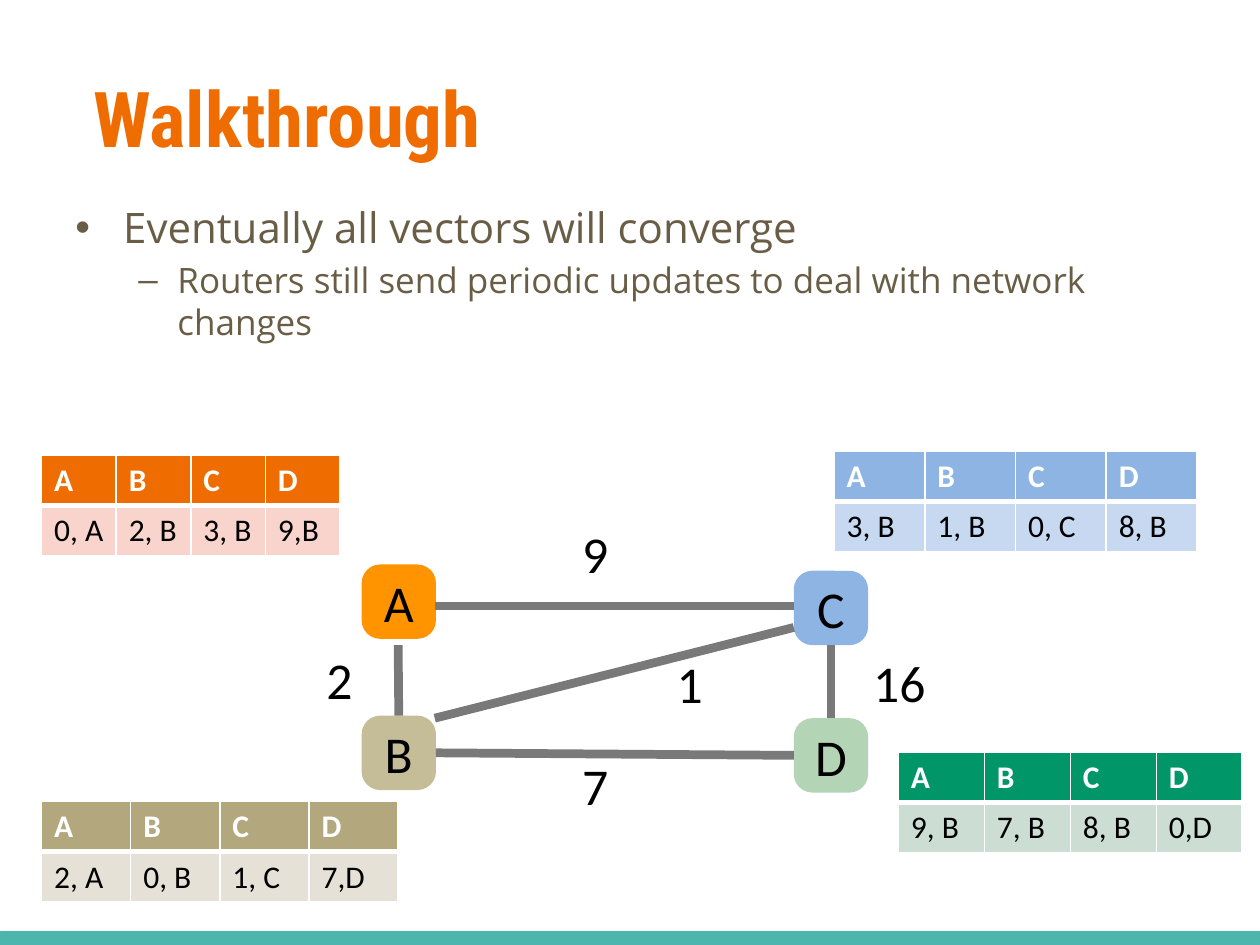
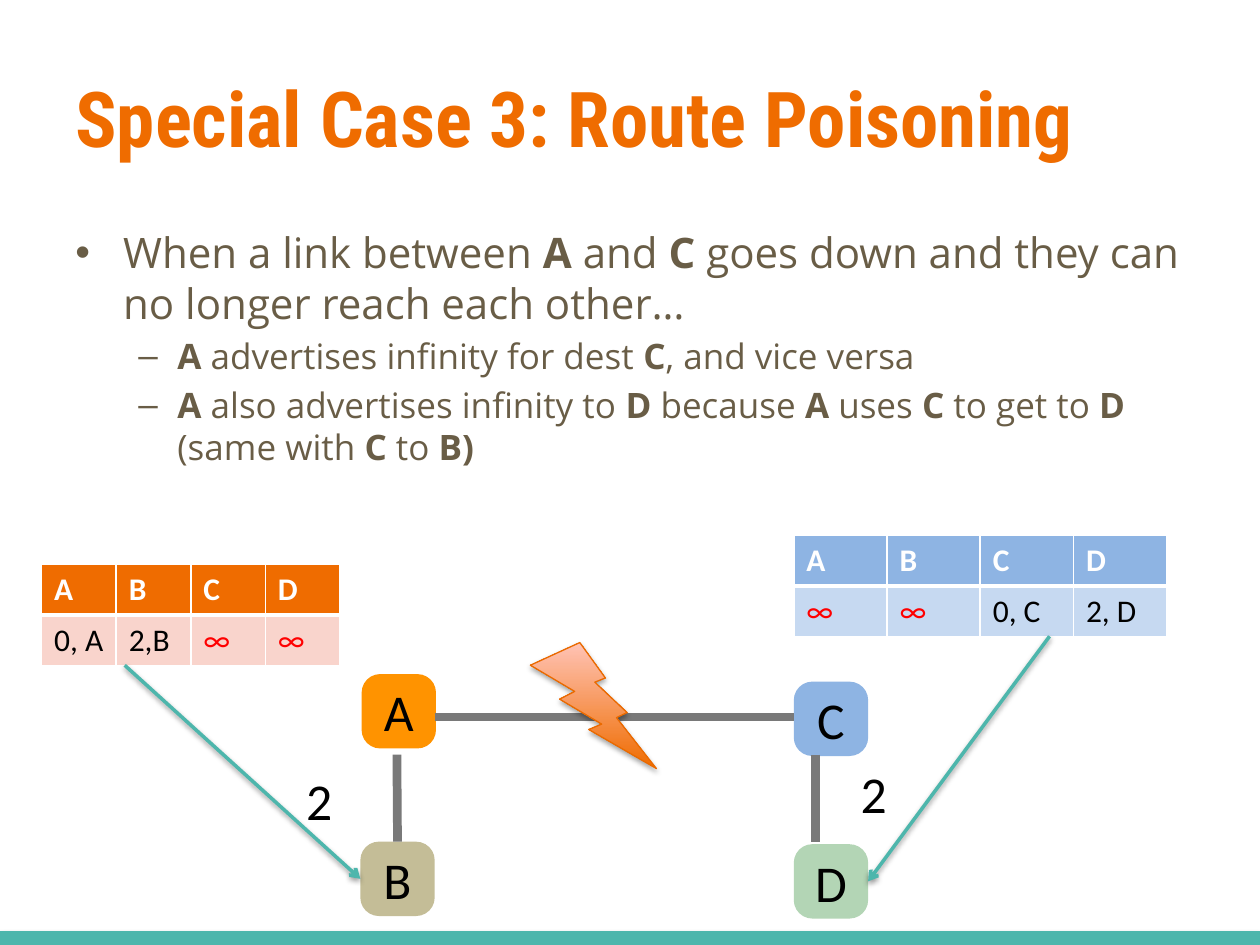
from pptx import Presentation
from pptx.dml.color import RGBColor as RGB
from pptx.enum.shapes import MSO_CONNECTOR as CONN, MSO_SHAPE as SHAPE
from pptx.enum.text import MSO_ANCHOR as ANCHOR, PP_ALIGN as ALIGN
from pptx.oxml import parse_xml
from pptx.oxml.ns import nsdecls
from pptx.util import Inches, Pt

C = {
    "title": "EF6C00", "body": "695D46", "accent": "4DB6AC", "link": "797979",
    "white": "FFFFFF", "black": "000000", "poison": "FF0000",
    "bolt_end": "FFC3B5", "bolt_line": "EA6A00",
}
NODE_FILL = {"A": "FF9300", "B": "C4BD97", "C": "8EB4E3", "D": "B3D5B5"}
TABLE_FILL = {
    "A": ("EF6C00", "F9D4CC"), "B": ("B3A77D", "E5E1D7"),
    "C": ("8EB4E3", "C6D9F1"), "D": ("009668", "CCDDD4"),
}
NODE = 0.59
TOP, LEFT, BOTTOM, RIGHT = range(4)
BULLETS = [("•", 24, 0.38, -0.38), ("–", 20, 0.81, -0.31)]


def rgb(name):
    """Return the colour for a palette name."""
    return RGB.from_string(C[name])


def style(font, name, size, color, bold=False):
    """Set the face, size, colour and weight of a font."""
    font.name, font.size, font.bold = name, Pt(size), bold
    font.color.rgb = rgb(color)


def add_effects(sp, alpha=0, dist=1.6):
    """Give a shape a soft drop shadow, or none when alpha is 0."""
    shadow = (
        f'<a:outerShdw blurRad="{Pt(3.1)}" dist="{Pt(dist)}" dir="5400000" rotWithShape="0">'
        f'<a:srgbClr val="{C["black"]}"><a:alpha val="{alpha * 1000}"/></a:srgbClr>'
        "</a:outerShdw>"
    ) if alpha else ""
    sp._element.spPr.append(
        parse_xml(f'<a:effectLst {nsdecls("a")}>{shadow}</a:effectLst>'))


def add_line(slide, start, end, color, width, alpha=0, arrow=False):
    """Draw a straight line between two points in inches."""
    line = slide.shapes.add_connector(
        CONN.STRAIGHT, *(Inches(v) for v in (*start, *end)))
    line.line.color.rgb = rgb(color)
    line.line.width = Pt(width)
    if arrow:
        line.line._get_or_add_ln().append(
            parse_xml(f'<a:tailEnd {nsdecls("a")} type="arrow"/>'))
    add_effects(line, alpha)
    return line


def add_box(slide, left, top, width, height):
    """Add a wrapping text box and return its text frame."""
    tf = slide.shapes.add_textbox(
        Inches(left), Inches(top), Inches(width), Inches(height)).text_frame
    tf.word_wrap = True
    return tf


def add_base(prs, title, inset=0.1):
    """Start a slide with its title and footer line."""
    slide = prs.slides.add_slide(prs.slide_layouts[6])
    add_line(slide, (0, 7.46), (10, 7.46), "accent", 10, alpha=38)
    tf = add_box(slide, 0.5, 0.3, 9, 1.25)
    tf.vertical_anchor = ANCHOR.MIDDLE
    tf.margin_left = Inches(inset)
    tf.text = title
    style(tf.paragraphs[0].runs[0].font, "Roboto Condensed", 44, "title", True)
    return slide


def add_bullets(slide, top, items):
    """Write levelled bullets, with bold parts set between asterisks."""
    tf = add_box(slide, 0.5, top, 9, 4.95)
    for i, (level, text) in enumerate(items):
        char, size, margin, indent = BULLETS[level]
        p = tf.add_paragraph() if i else tf.paragraphs[0]
        p.level = level
        if i:
            p.space_before = Pt(size * 0.2)
        pPr = p._p.get_or_add_pPr()
        pPr.set("marL", str(Inches(margin)))
        pPr.set("indent", str(Inches(indent)))
        pPr.append(parse_xml(f'<a:buFont {nsdecls("a")} typeface="Arial"/>'))
        pPr.append(parse_xml(f'<a:buChar {nsdecls("a")} char="{char}"/>'))
        for j, part in enumerate(text.split("*")):
            if part:
                r = p.add_run()
                r.text = part
                style(r.font, "Open Sans", size, "body", j % 2 == 1)


def set_borders(cell, bottom):
    """Draw white cell borders with the given bottom width."""
    tcPr = cell._tc.get_or_add_tcPr()
    for i, (side, width) in enumerate(zip("LRTB", (1, 1, 1, bottom))):
        tcPr.insert(i, parse_xml(
            f'<a:ln{side} {nsdecls("a")} w="{Pt(width)}"><a:solidFill>'
            f'<a:srgbClr val="{C["white"]}"/></a:solidFill></a:ln{side}>'))


def add_vector(slide, router, left, top, width, entries):
    """Add the distance vector table of one router."""
    table = slide.shapes.add_table(
        2, 4, Inches(left), Inches(top), Inches(width), Inches(0.8)).table
    table.horz_banding = False
    for col in table.columns:
        col.width = Inches(width / 4)
    for row, texts in enumerate(("ABCD", entries)):
        for col, text in enumerate(texts):
            cell = table.cell(row, col)
            cell.text = text
            color = "poison" if text == "∞" else "black" if row else "white"
            style(cell.text_frame.paragraphs[0].runs[0].font,
                  "Calibri", 18, color, row == 0)
            set_borders(cell, 1 if row else 3)
            cell.fill.solid()
            cell.fill.fore_color.rgb = RGB.from_string(TABLE_FILL[router][row])


def add_nodes(slide, left, top, places):
    """Place the router nodes relative to a corner and return them by name."""
    nodes = {}
    for name, (x, y) in places.items():
        sp = slide.shapes.add_shape(
            SHAPE.ROUNDED_RECTANGLE, Inches(left + x), Inches(top + y),
            Inches(NODE), Inches(NODE))
        sp.adjustments[0] = 0.25
        sp.shadow.inherit = False
        sp.fill.solid()
        sp.fill.fore_color.rgb = RGB.from_string(NODE_FILL[name])
        sp.line.fill.background()
        tf = sp.text_frame
        tf.margin_left = tf.margin_right = tf.margin_top = tf.margin_bottom = 0
        tf.vertical_anchor = ANCHOR.MIDDLE
        tf.text = name
        p = tf.paragraphs[0]
        p.alignment = ALIGN.CENTER
        style(p.runs[0].font, "Calibri", 29.5, "black")
        nodes[name] = sp
    return nodes


def add_links(slide, left, top, links):
    """Draw links relative to a corner, joined to nodes where a pair is given."""
    for start, end, begin_at, end_at in links:
        line = add_line(slide, (left + start[0], top + start[1]),
                        (left + end[0], top + end[1]), "link", 5)
        if begin_at:
            line.begin_connect(*begin_at)
        if end_at:
            line.end_connect(*end_at)


def add_costs(slide, left, top, costs):
    """Write link costs relative to a corner."""
    for text, x, y, width in costs:
        tf = add_box(slide, left + x, top + y, width, 0.58)
        tf.margin_left = tf.margin_right = Inches(0.04)
        tf.margin_top = tf.margin_bottom = Inches(0.04)
        tf.vertical_anchor = ANCHOR.MIDDLE
        tf.text = text
        style(tf.paragraphs[0].runs[0].font, "Calibri", 29.5, "black")


def add_bolt(slide, left, top):
    """Mark the broken link with a lightning bolt."""
    sp = slide.shapes.add_shape(
        SHAPE.LIGHTNING_BOLT, Inches(left), Inches(top), Inches(1), Inches(1))
    sp.fill.gradient()
    sp.fill.gradient_angle = 90
    for stop, color in zip(sp.fill.gradient_stops, ("title", "bolt_end")):
        stop.color.rgb = rgb(color)
    for stop, position in zip(sp.fill.gradient_stops, (0, 1)):
        stop.position = position
    sp.line.color.rgb = rgb("bolt_line")
    sp.line.width = Pt(0.75)
    add_effects(sp, alpha=35, dist=1.8)


def build_walkthrough(prs):
    """Build the slide with the converged vectors."""
    slide = add_base(prs, "Walkthrough", inset=0.24)
    add_bullets(slide, 1.55, [
        (0, "Eventually all vectors will converge"),
        (1, "Routers still send periodic updates to deal with network changes"),
    ])
    left, top = 2.87, 4.48
    n = add_nodes(slide, left, top, {
        "A": (0, 0), "B": (0, 1.2), "C": (3.43, 0.05), "D": (3.43, 1.22)})
    add_links(slide, left, top, [
        ((0.29, 0.64), (0.29, 1.2), None, (n["B"], TOP)),
        ((0.59, 1.49), (3.43, 1.49), (n["B"], RIGHT), (n["D"], LEFT)),
        ((3.73, 0.64), (3.73, 1.22), (n["C"], BOTTOM), (n["D"], TOP)),
        ((0.58, 0.33), (3.43, 0.33), None, None),
        ((0.58, 1.22), (3.43, 0.5), None, None),
    ])
    add_costs(slide, left, top, [
        ("7", 1.71, 1.46, 0.29), ("2", -0.32, 0.62, 0.29),
        ("16", 4.02, 0.64, 0.5), ("9", 1.71, -0.38, 0.29),
        ("1", 2.46, 0.65, 0.29),
    ])
    add_vector(slide, "A", 0.33, 3.61, 2.37, ["0, A", "2, B", "3, B", "9,B"])
    add_vector(slide, "C", 6.62, 3.58, 2.88, ["3, B", "1, B", "0, C", "8, B"])
    add_vector(slide, "B", 0.33, 6.36, 2.83, ["2, A", "0, B", "1, C", "7,D"])
    add_vector(slide, "D", 7.13, 5.97, 2.73, ["9, B", "7, B", "8, B", "0,D"])


def build_poisoning(prs):
    """Build the slide with the broken link and poisoned routes."""
    slide = add_base(prs, "Special Case 3: Route Poisoning")
    add_bullets(slide, 1.75, [
        (0, "When a link between *A* and *C* goes down and they can "
            "no longer reach each other…"),
        (1, "*A* advertises infinity for dest *C*, and vice versa"),
        (1, "*A* also advertises infinity to *D* because *A* uses *C* "
            "to get to *D* (same with *C* to *B)*"),
    ])
    left, top = 2.87, 5.35
    n = add_nodes(slide, left, top, {
        "A": (0, 0), "B": (-0.01, 1.33), "C": (3.43, 0.06), "D": (3.43, 1.35)})
    add_links(slide, left, top, [
        ((0.58, 0.34), (3.43, 0.34), None, None),
        ((3.6, 0.64), (3.6, 1.33), None, None),
        ((0.28, 0.64), (0.28, 1.33), None, (n["B"], TOP)),
    ])
    add_costs(slide, left, top, [("2", -0.48, 0.71, 0.47), ("2", 3.92, 0.65, 0.47)])
    add_vector(slide, "A", 0.33, 4.48, 2.37, ["0, A", "2,B", "∞", "∞"])
    add_vector(slide, "C", 6.3, 4.25, 2.96, ["∞", "∞", "0, C", "2, D"])
    for start, end, node, side in [
        ((0.99, 5.28), (2.86, 6.97), "B", LEFT),
        ((8.33, 5.05), (6.89, 6.97), "D", RIGHT),
    ]:
        add_line(slide, start, end, "accent", 2, alpha=38,
                 arrow=True).end_connect(n[node], side)
    add_bolt(slide, 4.21, 5.1)


def main():
    """Build and save the presentation."""
    prs = Presentation()
    prs.slide_width, prs.slide_height = Inches(10), Inches(7.5)
    build_walkthrough(prs)
    build_poisoning(prs)
    prs.save("out.pptx")


if __name__ == "__main__":
    main()
